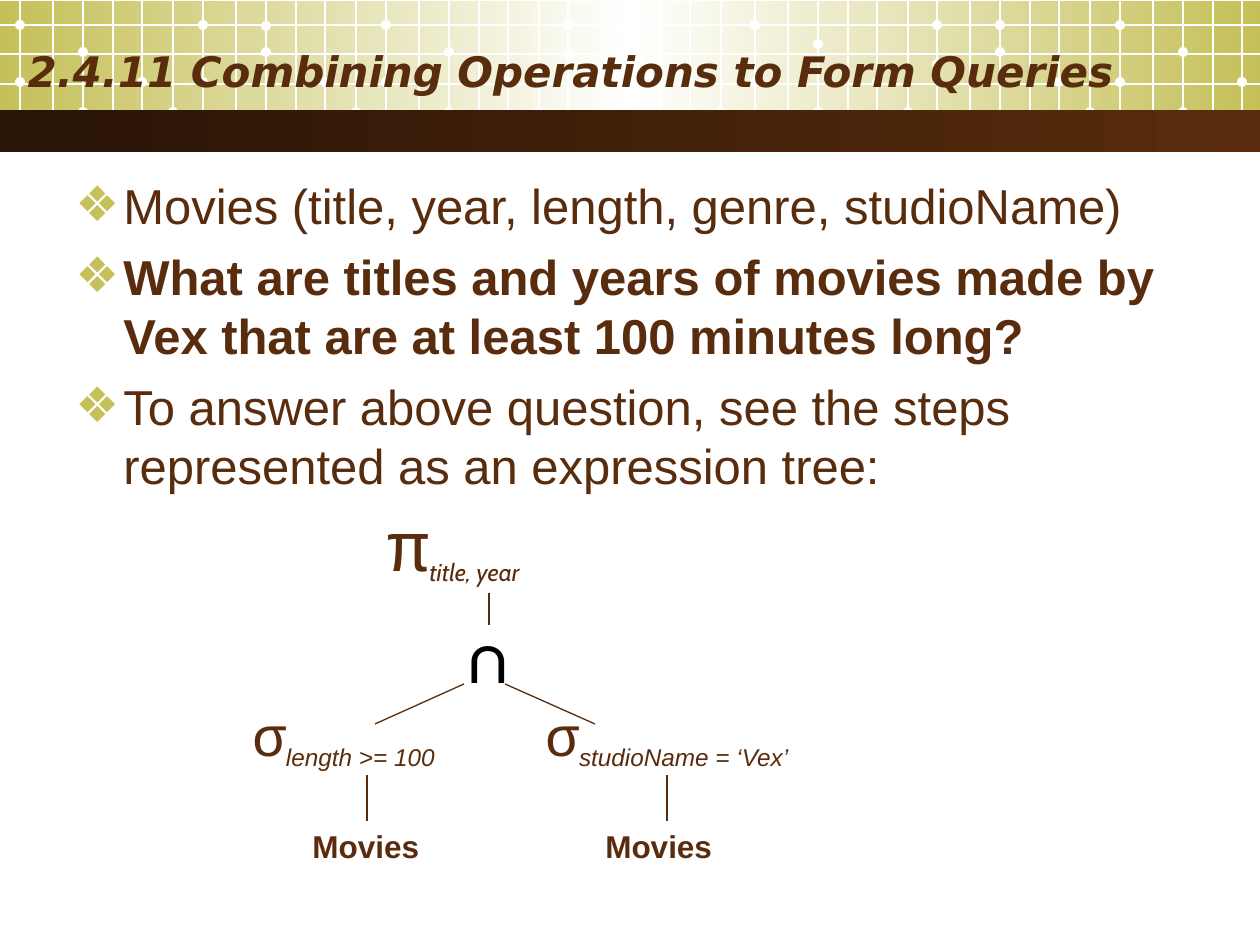
"""Build the slide on combining operations, with its query expression tree."""
from typing import NamedTuple, Optional

from lxml import etree
from pptx import Presentation
from pptx.dml.color import RGBColor
from pptx.enum.shapes import MSO_CONNECTOR, MSO_SHAPE
from pptx.enum.text import MSO_ANCHOR, PP_ALIGN
from pptx.oxml.ns import qn
from pptx.util import Pt

SCALE = 914400 / 126
LINE = MSO_CONNECTOR.STRAIGHT
RECT, OVAL = MSO_SHAPE.RECTANGLE, MSO_SHAPE.OVAL
LEFT, CENTER = PP_ALIGN.LEFT, PP_ALIGN.CENTER
MIDDLE, TOP = MSO_ANCHOR.MIDDLE, MSO_ANCHOR.TOP
COLORS = {"brown": "592C0D", "dark": "291406", "olive": "C5C059",
          "white": "FFFFFF", "black": "000000"}


class Box(NamedTuple):
    x: int
    y: int
    w: int
    h: int


class Run(NamedTuple):
    text: str
    size: int
    font: str = "Arial"
    color: str = "brown"
    bold: bool = False
    italic: bool = False
    base: int = 0


class Node(NamedTuple):
    name: str
    box: Box
    runs: tuple
    align: PP_ALIGN = LEFT


class Edge(NamedTuple):
    x: int
    y: int
    x2: int
    y2: int
    source: Optional[str] = None


class Tile(NamedTuple):
    x: int
    first: int = 77
    third: int = 47
    fourth: int = 107


TILES = (Tile(15), Tile(198, fourth=21), Tile(381), Tile(563, 49, 48, 20),
         Tile(750, third=39), Tile(932, 59, fourth=20), Tile(1115))
STEPS = (0, 33, 63, 93, 122, 153)
ROWS = (25, 54, 84)
POINTS = (
    Run("Movies (title, year, length, genre, studioName)", 28),
    Run("What are titles and years of movies made by Vex that are "
        "at least 100 minutes long?", 28, bold=True),
    Run("To answer above question, see the steps represented as "
        "an expression tree:", 28),
)
LEAF = (Run("Movies", 18, bold=True),)
NODES = (
    Node("left leaf", Box(300, 821, 228, 50), LEAF),
    Node("right leaf", Box(593, 821, 228, 50), LEAF),
    Node("project", Box(375, 495, 228, 98),
         (Run("π", 40, "Courier New"),
          Run("title, year", 24, "Cabin", italic=True, base=-25))),
    Node("meet", Box(451, 607, 73, 97),
         (Run("∩", 40, "Calibri", "black", bold=True),)),
    Node("length", Box(240, 694, 254, 81),
         (Run("σ", 32, "Courier New"),
          Run("length >= 100", 24, italic=True, base=-25))),
    Node("studio", Box(513, 694, 308, 81),
         (Run("σ", 32, "Courier New"),
          Run("studioName = ‘Vex’", 24, italic=True, base=-25)), CENTER),
)
EDGES = (Edge(367, 775, 367, 821, "length"), Edge(667, 775, 667, 821, "studio"),
         Edge(464, 684, 375, 724), Edge(505, 684, 595, 724),
         Edge(489, 593, 489, 625, "project"))


def px(*values: int) -> list:
    """Turn pixels into EMU."""
    return [round(value * SCALE) for value in values]


def rgb(name: str) -> RGBColor:
    """Look up a colour."""
    return RGBColor.from_string(COLORS[name])


def shape(slide, kind, box: Box, *colors: str):
    """Draw a borderless shape with a solid or evenly stepped gradient fill."""
    item = slide.shapes.add_shape(kind, *px(*box))
    item.shadow.inherit = False
    item.line.fill.background()
    if len(colors) == 1:
        item.fill.solid()
        item.fill.fore_color.rgb = rgb(colors[0])
        return item
    item.fill.gradient()
    item.fill.gradient_angle = 0
    stops = next(item._element.iter(qn("a:gsLst")))
    stops.clear()
    for i, color in enumerate(colors):
        stop = etree.SubElement(stops, qn("a:gs"),
                                pos=str(100000 * i // (len(colors) - 1)))
        etree.SubElement(stop, qn("a:srgbClr"), val=COLORS[color])
    return item


def line(slide, edge: Edge, color: str, source=None):
    """Draw a thin line, joined to the foot of its source box if given."""
    item = slide.shapes.add_connector(LINE, *px(*edge[:4]))
    item.line.color.rgb = rgb(color)
    item.line.width = Pt(0.75)
    etree.SubElement(item._element.spPr, qn("a:effectLst"))
    if source is not None:
        item.begin_connect(source, 2)
    return item


def write(item, paras, *, anchor=TOP, align=LEFT, bullet="", space=0):
    """Fill a text frame with formatted paragraphs."""
    frame = item.text_frame
    frame.word_wrap = True
    frame.vertical_anchor = anchor
    for i, runs in enumerate(paras):
        para = frame.add_paragraph() if i else frame.paragraphs[0]
        para.alignment = align
        para.space_before = Pt(space)
        if bullet:
            props = para._p.get_or_add_pPr()
            indent = px(48)[0]
            props.set("marL", str(indent))
            props.set("indent", str(-indent))
            tint = etree.SubElement(props, qn("a:buClr"))
            etree.SubElement(tint, qn("a:srgbClr"), val=COLORS["olive"])
            etree.SubElement(props, qn("a:buFont"), typeface="DejaVu Sans")
            etree.SubElement(props, qn("a:buChar"), char=bullet)
        for part in runs:
            run = para.add_run()
            run.text = part.text
            font = run.font
            font.size, font.name = Pt(part.size), part.font
            font.bold, font.italic = part.bold, part.italic
            font.color.rgb = rgb(part.color)
            if part.base:
                run._r.get_or_add_rPr().set("baseline", str(part.base * 1000))


def banner(slide):
    """Draw the gridded header and the dark band under it."""
    shape(slide, RECT, Box(0, 1, 1260, 129), "olive", "white", "olive")
    for tile in TILES:
        dots = ((0, tile.first), (0, 20), (63, tile.third),
                (63, tile.fourth), (122, 77), (153, 107))
        for step, y in dots:
            if tile.x + step < 1260:
                shape(slide, OVAL, Box(tile.x + step, y, 10, 10), "white")
        for step in STEPS:
            x = tile.x + step + 5
            if x < 1260:
                line(slide, Edge(x, 0, x, 139), "white")
    for y in ROWS:
        line(slide, Edge(0, y, 1260, y), "white")
    shape(slide, RECT, Box(0, 110, 1260, 42), "dark", "brown")


def main():
    """Build and save the deck."""
    deck = Presentation()
    deck.slide_width, deck.slide_height = px(1260, 945)
    slide = deck.slides.add_slide(deck.slide_layouts[5])
    banner(slide)

    title = slide.shapes.title
    title.left, title.top, title.width, title.height = px(15, 32, 1300, 78)
    write(title, [[Run("2.4.11 Combining Operations to Form Queries", 24,
                       "DejaVu Sans", bold=True, italic=True)]], anchor=MIDDLE)
    slide.shapes._spTree.append(title._element)

    body = slide.shapes.add_textbox(*px(63, 169, 1134, 702))
    write(body, [[point] for point in POINTS], bullet="❖", space=7)

    boxes = {}
    for node in NODES:
        boxes[node.name] = slide.shapes.add_textbox(*px(*node.box))
        write(boxes[node.name], [node.runs], align=node.align)
    for edge in EDGES:
        line(slide, edge, "brown", boxes.get(edge.source))
    deck.save("out.pptx")


if __name__ == "__main__":
    main()
